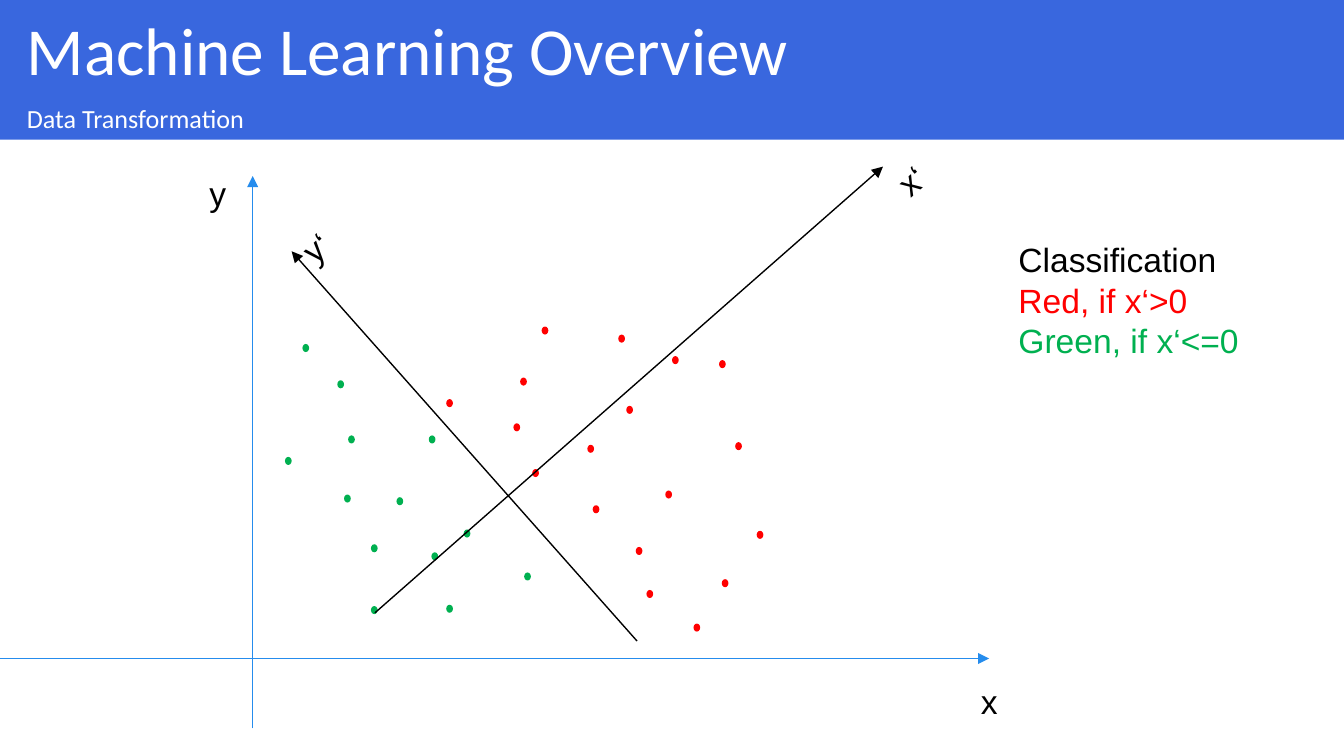
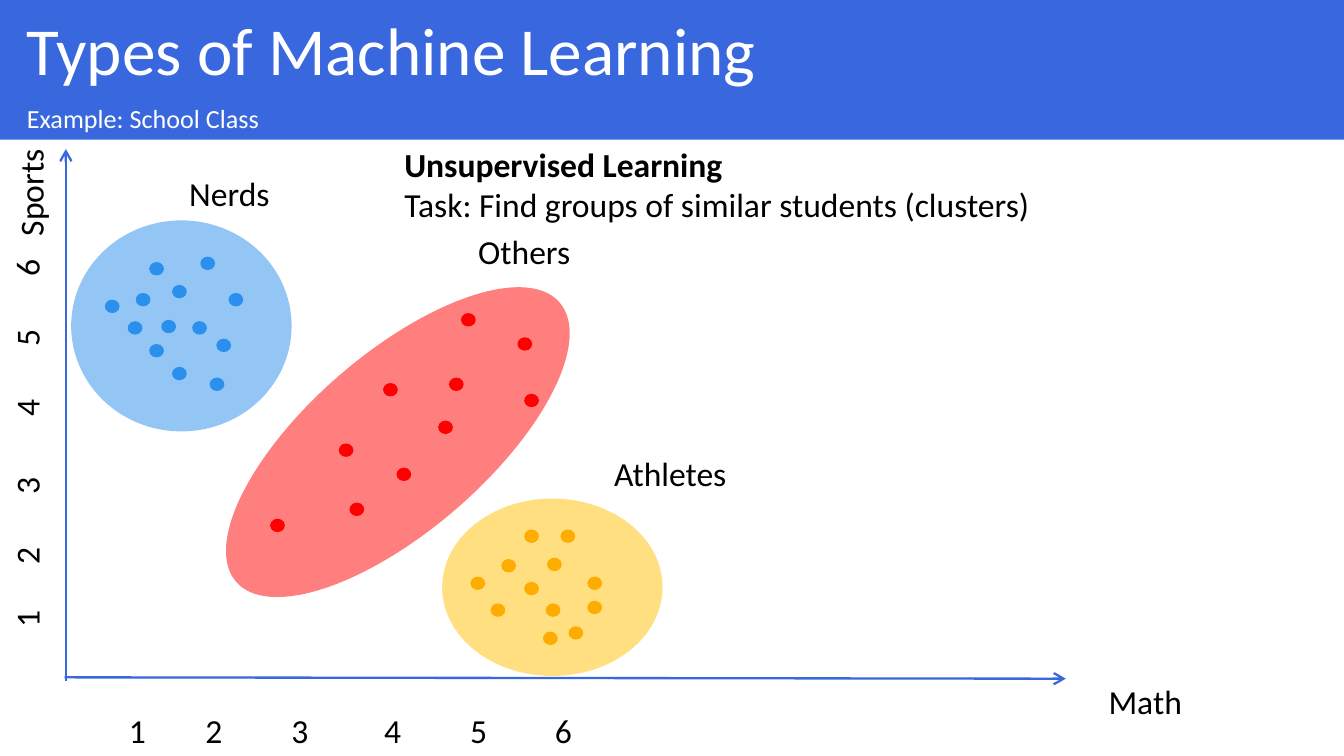
from lxml import etree
from pptx import Presentation, util as u
from pptx.dml import color
from pptx.enum import shapes, text
from pptx.oxml import ns

BAND, AXIS = "3967DE", "258CED"
BLACK, WHITE, RED, GREEN = "000000", "FFFFFF", "FF0000", "00B050"
SKY, AMBER, YELLOW = "2B8FED", "FF9900", "FFC000"
TILT = 319.2


def rgb(value):
    return color.RGBColor.from_string(value)


def add_xml(parent, tag, **attributes):
    return etree.SubElement(parent, ns.qn(tag), attributes)


class Deck:
    def __init__(self):
        self.prs = Presentation()
        self.prs.slide_width = u.Inches(10)
        self.prs.slide_height = u.Inches(10 * 9 / 16)
        self.slide = None
        self.font = "Calibri"

    def start(self, title, subtitle, font):
        self.slide = self.prs.slides.add_slide(self.prs.slide_layouts[5])
        self.font = font
        self.band(self.slide.shapes.title, title, 0, 0.73, 36)
        strip = self.slide.shapes.add_shape(
            shapes.MSO_SHAPE.RECTANGLE, 0, 0, 0, 0)
        self.band(strip, subtitle, 0.72, 0.32, 14)

    def band(self, shape, words, top, height, size):
        shape.left, shape.top = u.Inches(0), u.Inches(top)
        shape.width, shape.height = u.Inches(10), u.Inches(height)
        self.paint(shape, BAND)
        frame = shape.text_frame
        frame.text = words
        frame.word_wrap = True
        frame.auto_size = text.MSO_AUTO_SIZE.NONE
        frame.vertical_anchor = text.MSO_ANCHOR.MIDDLE
        frame.margin_left, frame.margin_right = u.Inches(0.2), u.Inches(0.1)
        frame.margin_top = frame.margin_bottom = u.Inches(0.05)
        paragraph = frame.paragraphs[0]
        paragraph.alignment = text.PP_ALIGN.LEFT
        self.style(paragraph, "Calibri", size, WHITE)

    def paint(self, shape, fill):
        shape.fill.solid()
        shape.fill.fore_color.rgb = rgb(fill)
        shape.line.fill.background()
        if not shape.is_placeholder:
            shape.shadow.inherit = False

    def style(self, paragraph, name, size, shade, bold=False):
        font = paragraph.font
        font.name, font.size, font.bold = name, u.Pt(size), bold
        font.color.rgb = rgb(shade)

    def label(self, lines, left, top, width, height=0.4, rotation=0,
              shades=(), bold_first=False, tabs=()):
        box = self.slide.shapes.add_textbox(
            u.Inches(left), u.Inches(top), u.Inches(width), u.Inches(height))
        box.rotation = rotation
        frame = box.text_frame
        frame.text = lines
        frame.word_wrap = bool(tabs)
        frame.auto_size = text.MSO_AUTO_SIZE.SHAPE_TO_FIT_TEXT
        for index, paragraph in enumerate(frame.paragraphs):
            shade = shades[index] if shades else BLACK
            self.style(paragraph, self.font, 18, shade,
                       bold_first and index == 0)
        if tabs:
            properties = frame.paragraphs[0]._p.get_or_add_pPr()
            stops = etree.Element(ns.qn("a:tabLst"))
            properties.insert(0, stops)
            for stop in tabs:
                add_xml(stops, "a:tab", pos=str(u.Inches(stop)), algn="l")

    def arrow(self, start, end, shade, width=0.75, head="triangle"):
        line = self.slide.shapes.add_connector(
            shapes.MSO_CONNECTOR.STRAIGHT,
            *[u.Inches(value) for value in (*start, *end)])
        line.line.color.rgb = rgb(shade)
        line.line.width = u.Pt(width)
        add_xml(line.line._get_or_add_ln(), "a:tailEnd", type=head)
        add_xml(line._element.spPr, "a:effectLst")

    def ellipse(self, left, top, width, height, fill, rotation=0, alpha=None):
        oval = self.slide.shapes.add_shape(
            shapes.MSO_SHAPE.OVAL, u.Inches(left), u.Inches(top),
            u.Inches(width), u.Inches(height))
        oval.rotation = rotation
        self.paint(oval, fill)
        if alpha:
            shade = oval._element.spPr.find(".//" + ns.qn("a:srgbClr"))
            add_xml(shade, "a:alpha", val=str(alpha * 1000))

    def dots(self, places, width, height, fill):
        for left, top in places:
            self.ellipse(left, top, width, height, fill)


green_points = [
    (2.51, 2.83), (2.12, 3.4), (3.19, 3.24), (2.59, 3.24), (2.25, 2.56),
    (3.21, 4.11), (3.32, 4.5), (2.76, 4.05), (3.9, 4.26), (2.56, 3.68),
    (2.76, 4.51), (2.95, 3.7), (3.45, 3.94)]
red_points = [
    (3.87, 2.81), (3.96, 3.49), (5.35, 2.68), (5.47, 3.29), (4.6, 2.49),
    (5, 2.65), (4.73, 4.07), (5.16, 4.64), (3.82, 3.15), (4.66, 3.02),
    (4.37, 3.31), (4.03, 2.43), (4.41, 3.76), (5.63, 3.95), (4.95, 3.65),
    (4.81, 4.39), (5.37, 4.31), (3.32, 2.97)]
nerds = [
    (0.78, 2.23), (1.7, 2.18), (1.11, 1.95), (1.28, 2.12), (1.49, 1.91),
    (1.2, 2.38), (0.95, 2.39), (1.11, 2.56), (1.28, 2.73), (1.61, 2.52),
    (1.43, 2.39), (1.56, 2.81), (1.01, 2.18)]
athletes = [
    (3.73, 4.16), (4.37, 4.29), (3.65, 4.49), (3.5, 4.29), (4.04, 4.7),
    (4.37, 4.47), (4.17, 3.94), (3.9, 4.33), (4.06, 4.49), (4.23, 4.66),
    (4.07, 4.15), (3.9, 3.94)]
others = [
    (2.85, 2.85), (3.43, 2.33), (2.52, 3.3), (3.9, 2.93), (3.34, 2.81),
    (2.6, 3.74), (2.01, 3.86), (3.85, 2.51), (2.95, 3.48), (3.26, 3.13)]

deck = Deck()

deck.start("Machine Learning Overview", "Data Transformation", "Arial")
deck.arrow((0, 4.9), (7.36, 4.9), AXIS)
deck.arrow((1.88, 5.42), (1.88, 1.31), AXIS)
deck.label("x", 7.2, 5.02, 0.33)
deck.label("y", 1.46, 1.24, 0.33)
deck.dots(green_points, 0.05, 0.06, GREEN)
deck.dots(red_points, 0.05, 0.06, RED)
deck.arrow((2.79, 4.56), (6.57, 1.24), BLACK)
deck.arrow((4.74, 4.77), (2.17, 1.87), BLACK)
deck.label("x‘", 6.59, 1.14, 0.38, rotation=TILT)
deck.label("y‘", 2.16, 1.64, 0.38, rotation=TILT)
deck.label("Classification\nRed, if x‘>0\nGreen, if x‘<=0", 7.48, 1.73, 1.86,
           1.01, shades=(BLACK, RED, GREEN))

deck.start("Types of Machine Learning", "Example: School Class", "Calibri")
deck.arrow((0.48, 5.04), (7.93, 5.05), BAND, 1.25, "arrow")
deck.arrow((0.49, 5.07), (0.49, 1.11), BAND, 1.25, "arrow")
deck.label("Math", 8.15, 5.02, 0.76)
deck.label("Sports", -0.2, 1.23, 0.85, rotation=270)
grades = "\t".join(str(grade) for grade in range(1, 7))
deck.label(grades, 0.86, 5.23, 4.29, tabs=(0.57, 1.21, 1.9, 2.54, 3.17))
deck.label(grades, -1.95, 2.42, 4.29, rotation=270,
           tabs=(0.47, 0.99, 1.57, 2.09, 2.61))
deck.dots(nerds, 0.11, 0.1, SKY)
deck.dots(athletes, 0.11, 0.1, AMBER)
deck.dots(others, 0.11, 0.1, RED)
deck.ellipse(0.53, 1.64, 1.64, 1.57, SKY, alpha=50)
deck.ellipse(3.29, 3.71, 1.64, 1.32, YELLOW, alpha=50)
deck.ellipse(1.37, 2.63, 3.18, 1.32, RED, TILT, alpha=50)
deck.label("Nerds", 1.31, 1.24, 0.8)
deck.label("Athletes", 4.47, 3.32, 1.05)
deck.label("Others", 3.46, 1.67, 0.89)
deck.label("Unsupervised Learning\n"
           "Task: Find groups of similar students (clusters)",
           2.91, 1.02, 4.88, 0.71, bold_first=True)

deck.prs.save("out.pptx")
